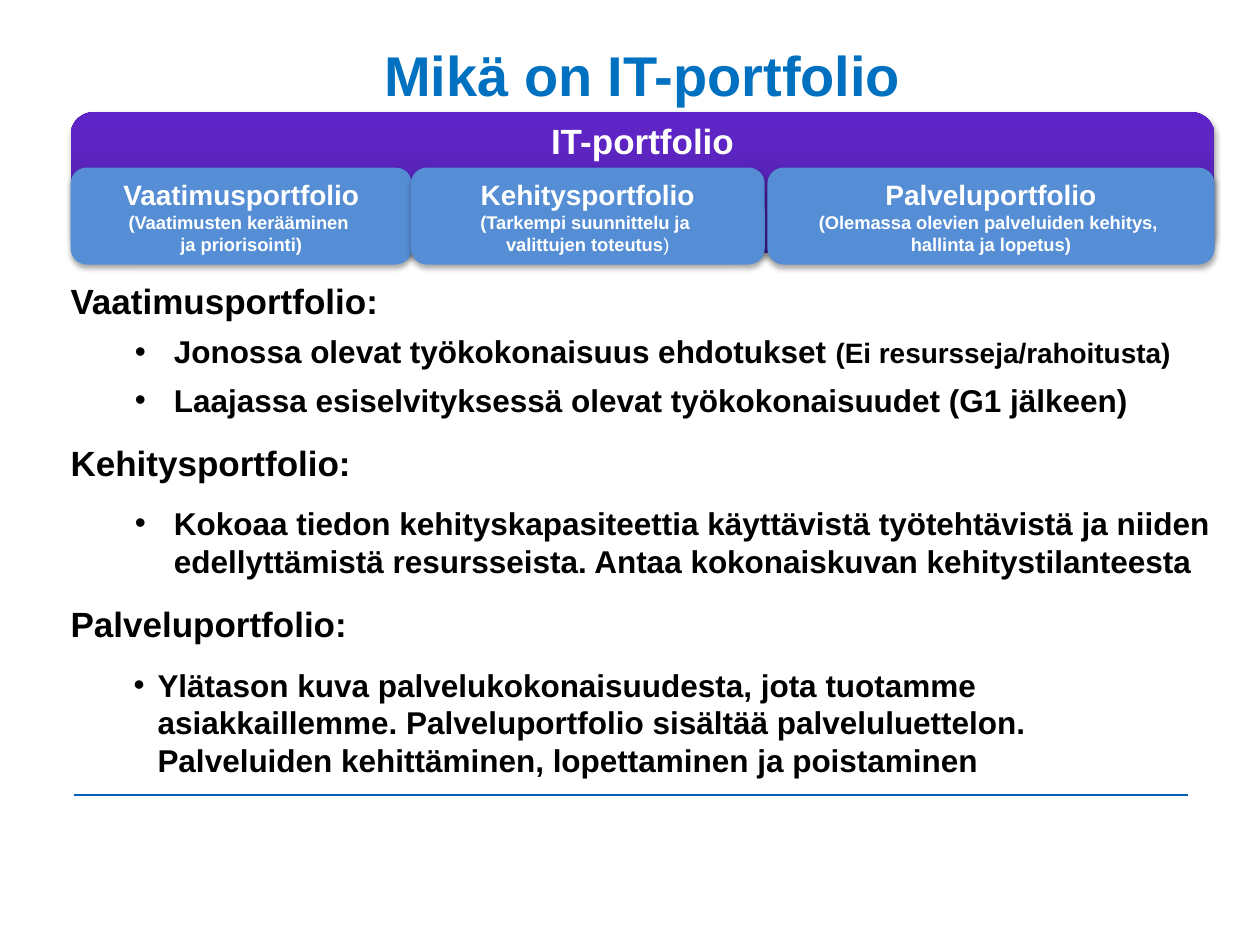
from copy import deepcopy

from lxml import etree
from pptx import Presentation
from pptx.dml.color import RGBColor
from pptx.enum.shapes import MSO_CONNECTOR, MSO_SHAPE
from pptx.enum.text import MSO_ANCHOR, MSO_AUTO_SIZE, PP_ALIGN
from pptx.oxml import parse_xml
from pptx.oxml.ns import nsdecls, qn
from pptx.util import Inches, Pt

ROUNDED, RECTANGLE = MSO_SHAPE.ROUNDED_RECTANGLE, MSO_SHAPE.RECTANGLE
TOP, MIDDLE = MSO_ANCHOR.TOP, MSO_ANCHOR.MIDDLE
LEFT, CENTER = PP_ALIGN.LEFT, PP_ALIGN.CENTER
SHADOW = (
    f'<a:effectLst {nsdecls("a")}>'
    '<a:outerShdw blurRad="40000" dist="23000" dir="5400000" rotWithShape="0">'
    '<a:srgbClr val="000000"><a:alpha val="35000"/></a:srgbClr>'
    '</a:outerShdw></a:effectLst>'
)


def rgb(value):
    return RGBColor.from_string(value)


def add_text(paragraph, text, size, color="000000", bold=True, align=LEFT):
    paragraph.alignment = align
    run = paragraph.add_run()
    run.text = text
    run.font.name = "Arial"
    run.font.size = Pt(size)
    run.font.bold = bold
    run.font.color.rgb = rgb(color)


prs = Presentation()
prs.slide_width, prs.slide_height = Inches(10), Inches(7.5)
slide = prs.slides.add_slide(prs.slide_layouts[5])
shapes = slide.shapes

# Title
title = shapes.title
title.left, title.top = Inches(0.2), Inches(0.32)
title.width, title.height = Inches(9.8), Inches(0.79)
heading = title.text_frame
heading.auto_size = MSO_AUTO_SIZE.NONE
heading.vertical_anchor = TOP
heading.margin_left = heading.margin_right = 0
heading.margin_top = heading.margin_bottom = 0
add_text(heading.paragraphs[0], "Mikä on IT-portfolio", 32, "0070C0", align=CENTER)

# Rule at the foot
rule = shapes.add_connector(
    MSO_CONNECTOR.STRAIGHT, Inches(0.59), Inches(6.31), Inches(9.43), Inches(6.31))
rule.line.color.rgb = rgb("005EB8")
rule.line.width = Pt(0.75)
etree.SubElement(rule._element.spPr, qn("a:effectLst"))

# Descriptions: (kind, space before, runs of text and size)
descriptions = [
    ("heading", 0, [("Vaatimusportfolio:", 20)]),
    ("bullet", 6, [("Jonossa olevat työkokonaisuus ehdotukset ", 18),
                   ("(Ei resursseja/rahoitusta)", 16)]),
    ("bullet", 6, [("Laajassa esiselvityksessä olevat työkokonaisuudet (G1 jälkeen)", 18)]),
    ("heading", 13, [("Kehitysportfolio:", 20)]),
    ("bullet", 12, [("Kokoaa tiedon kehityskapasiteettia käyttävistä työtehtävistä ja niiden "
                     "edellyttämistä resursseista. Antaa kokonaiskuvan kehitystilanteesta", 18)]),
    ("heading", 13, [("Palveluportfolio:", 20)]),
    ("narrow bullet", 12, [("Ylätason kuva palvelukokonaisuudesta, jota tuotamme asiakkaillemme. "
                            "Palveluportfolio sisältää palveluluettelon. \v"
                            "Palveluiden kehittäminen, lopettaminen ja poistaminen", 18)]),
]
indents = {"bullet": (0.82, -0.31), "narrow bullet": (0.69, -0.19)}

body = shapes.add_shape(RECTANGLE, Inches(0.56), Inches(2.22), Inches(9.08), Inches(4.01))
body.shadow.inherit = False
body.fill.solid()
body.fill.fore_color.rgb = rgb("FFFFFF")
body.line.fill.background()
body_text = body.text_frame
body_text.word_wrap = True
body_text.vertical_anchor = TOP
body_text.margin_left = body_text.margin_right = 0
body_text.margin_top = body_text.margin_bottom = 0
for number, (kind, space, runs) in enumerate(descriptions):
    paragraph = body_text.add_paragraph() if number else body_text.paragraphs[0]
    paragraph.space_before = Pt(space)
    for text, size in runs:
        # A vertical tab marks a line break within the paragraph
        for part, line in enumerate(text.split("\v")):
            if part:
                paragraph.add_line_break()
            add_text(paragraph, line, size)
    if kind in indents:
        margin, hanging = indents[kind]
        properties = paragraph._p.get_or_add_pPr()
        properties.set("marL", str(Inches(margin)))
        properties.set("indent", str(Inches(hanging)))
        etree.SubElement(properties, qn("a:buFont"), typeface="Arial")
        etree.SubElement(properties, qn("a:buChar"), char="•")

# Portfolio band and its three parts: left, top, width, height, lines of runs
boxes = [
    (0.56, 0.89, 9.08, 1.12, [[("IT-portfolio", 20, True)]]),
    (0.56, 1.33, 2.71, 0.77, [[("Vaatimusportfolio", 16, True)],
                              [("(Vaatimusten kerääminen ", 10.5, True)],
                              [("ja priorisointi)", 10.5, True)]]),
    (3.26, 1.33, 2.81, 0.77, [[("Kehitysportfolio", 16, True)],
                              [("(Tarkempi suunnittelu ja ", 10.5, True)],
                              [("valittujen toteutus", 10.5, True), (")", 10.5, False)]]),
    (6.09, 1.33, 3.55, 0.77, [[("Palveluportfolio", 16, True)],
                              [("(Olemassa olevien palveluiden kehitys, ", 10.5, True)],
                              [("hallinta ja lopetus)", 10.5, True)]]),
]
for number, (left, top, width, height, lines) in enumerate(boxes):
    box = shapes.add_shape(ROUNDED, Inches(left), Inches(top), Inches(width), Inches(height))
    box.line.fill.background()
    frame = box.text_frame
    frame.word_wrap = True
    if number == 0:
        frame.vertical_anchor = TOP
        frame.margin_top = 0
        box.fill.gradient()
        box.fill.gradient_angle = 90
        stop_list = box._element.spPr.find(qn("a:gradFill")).find(qn("a:gsLst"))
        stop_list.append(deepcopy(stop_list[-1]))
        band_colors = [(0, "481C97"), (0.8, "5E25C4"), (1, "5D22C8")]
        for stop, (position, color) in zip(box.fill.gradient_stops, band_colors):
            stop.position = position
            stop.color.rgb = rgb(color)
    else:
        frame.vertical_anchor = MIDDLE
        box.fill.solid()
        box.fill.fore_color.rgb = rgb("558ED5")
    box._element.spPr.append(parse_xml(SHADOW))
    for row, runs in enumerate(lines):
        paragraph = frame.add_paragraph() if row else frame.paragraphs[0]
        for text, size, bold in runs:
            add_text(paragraph, text, size, "FFFFFF", bold, CENTER)

prs.save("out.pptx")
